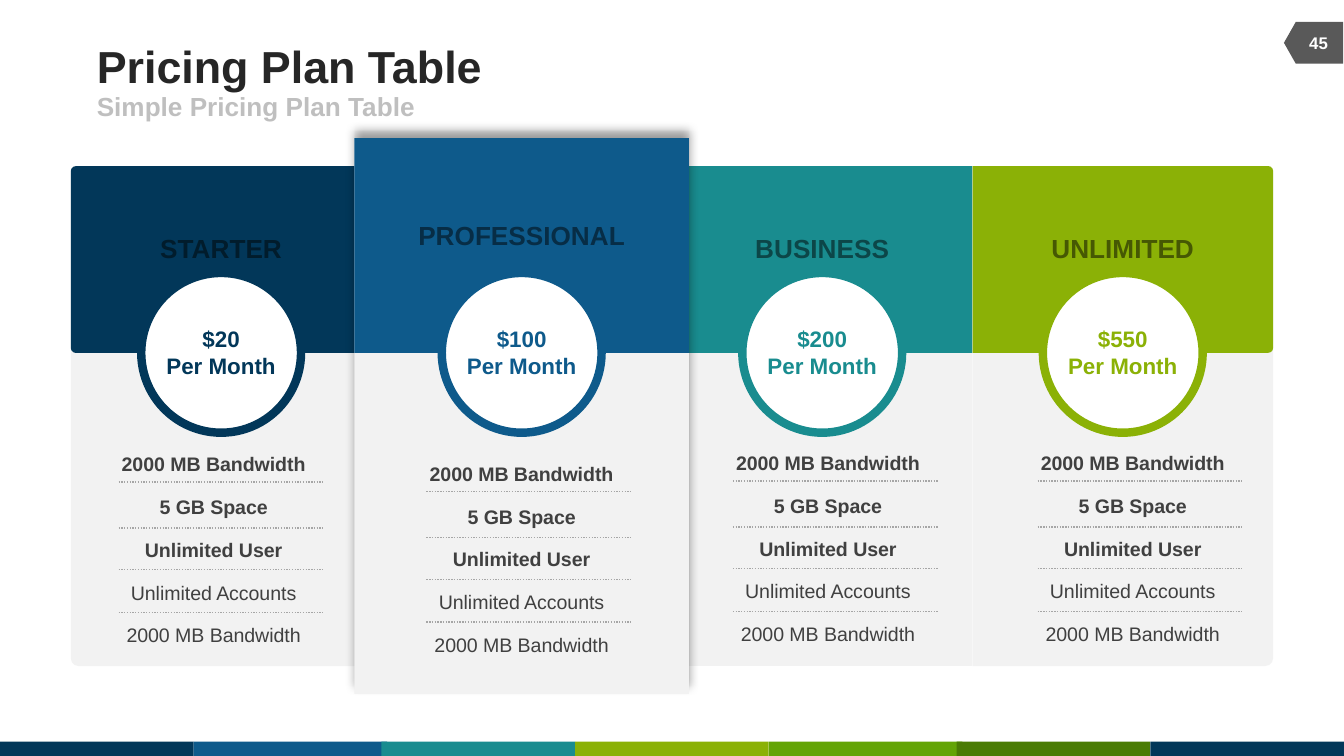
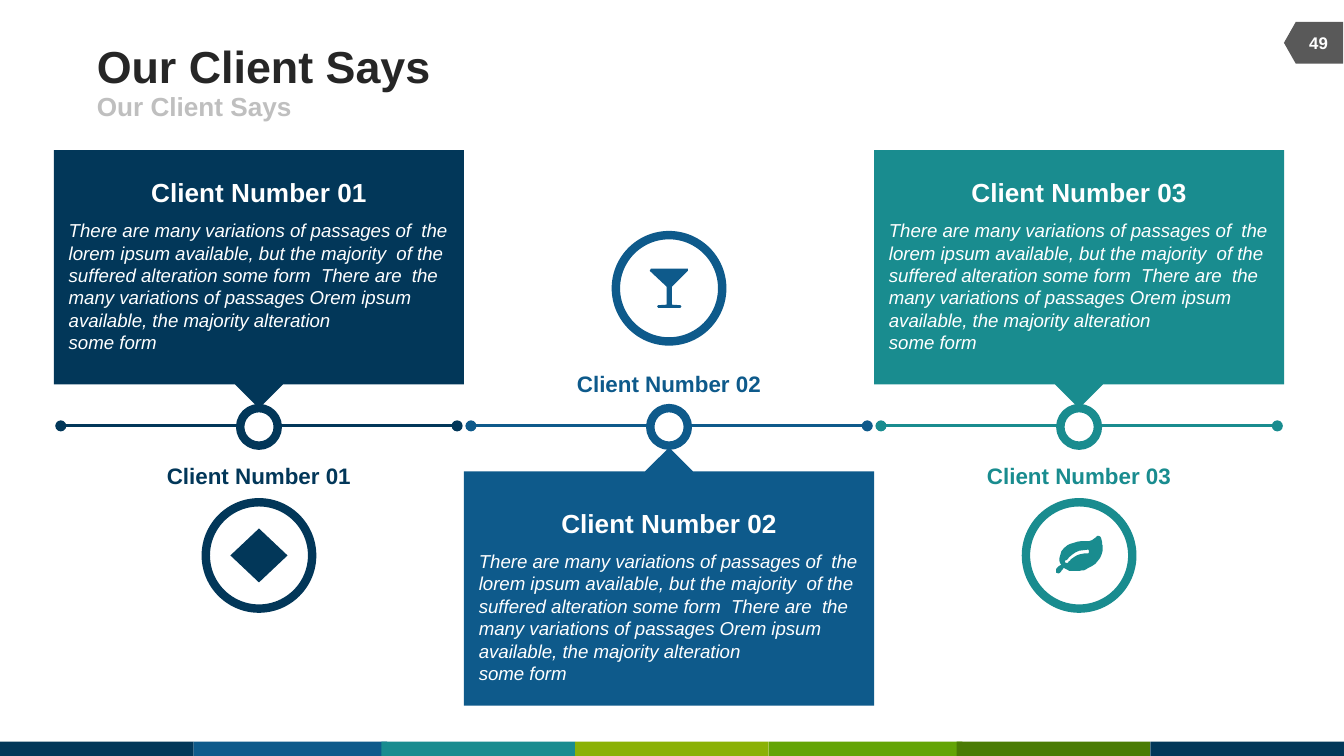
from lxml import etree
from pptx import Presentation
from pptx.dml.color import RGBColor
from pptx.enum.dml import MSO_LINE
from pptx.enum.shapes import MSO_CONNECTOR, MSO_SHAPE as SHAPE
from pptx.enum.text import MSO_ANCHOR as ANCHOR, MSO_AUTO_SIZE, PP_ALIGN as ALIGN
from pptx.oxml.ns import qn
from pptx.util import Cm, Pt

FONT = "Arial"
NAVY = RGBColor(0x02, 0x37, 0x59)
BLUE = RGBColor(0x0E, 0x5A, 0x8B)
TEAL = RGBColor(0x19, 0x8C, 0x8F)
LIME = RGBColor(0x8B, 0xB1, 0x06)
GREEN = RGBColor(0x63, 0xA4, 0x06)
FOREST = RGBColor(0x4A, 0x7B, 0x04)
DARK_NAVY = RGBColor(0x01, 0x1C, 0x2C)
DARK_BLUE = RGBColor(0x07, 0x2D, 0x46)
DARK_TEAL = RGBColor(0x0C, 0x46, 0x48)
DARK_LIME = RGBColor(0x46, 0x58, 0x03)
WHITE = RGBColor(0xFF, 0xFF, 0xFF)
PANEL = RGBColor(0xF2, 0xF2, 0xF2)
SUBTITLE = RGBColor(0xBF, 0xBF, 0xBF)
RULE = RGBColor(0xA6, 0xA6, 0xA6)
BADGE = RGBColor(0x59, 0x59, 0x59)
BODY = RGBColor(0x40, 0x40, 0x40)
TITLE = RGBColor(0x26, 0x26, 0x26)

BAND = [(0, NAVY), (3.66, BLUE), (7.21, TEAL), (10.87, LIME),
        (14.53, GREEN), (18.08, FOREST), (21.74, NAVY)]

# Plan: name, price, colour, name colour, left and top of the feature list
PLANS = [
    ("STARTER", "$20", NAVY, DARK_NAVY, 1.83, 8.2),
    ("PROFESSIONAL", "$100", BLUE, DARK_BLUE, 7.65, 8.38),
    ("BUSINESS", "$200", TEAL, DARK_TEAL, 13.44, 8.18),
    ("UNLIMITED", "$550", LIME, DARK_LIME, 19.2, 8.18),
]
FEATURES = [("2000 MB Bandwidth", True), ("5 GB Space", True),
            ("Unlimited User", True), ("Unlimited Accounts", False),
            ("2000 MB Bandwidth", False)]
RULE_OFFSETS = [0.91, 1.78, 2.57, 3.38]
PLAN_LEFT, PLAN_WIDTH = 1.34, 5.68
PLAN_TOP, HEADER_BOTTOM, PLAN_BOTTOM = 3.14, 6.67, 12.59
RAISED = 0.53
CIRCLE = 3.02

QUOTE = ("There are many variations of passages of  the lorem ipsum available, "
         "but the majority  of the suffered alteration some form  There are  the "
         "many variations of passages Orem ipsum available, the majority alteration ",
         "some form")
CLIENT_LEFT, CLIENT_WIDTH, CALLOUT_HEIGHT = 1.02, 7.75, 4.88
TIMELINE = 8.05
DOT, RING = 0.71, 2.01

# Icon outlines in hundredths of a centimetre from the icon centre
GLASS = [(-35, -37), (35, -37), (36, -33), (5, -3), (5, 31), (21, 32),
         (23, 34), (21, 37), (-21, 37), (-23, 34), (-21, 32), (-5, 31),
         (-5, -3), (-36, -33)]
# Start point, then two control points and an end point for each curve
LEAF = [
    (44, -9), (42, 6), (32, 17), (17, 24), (9, 29), (1, 29), (-6, 29),
    (-9, 29), (-16, 29), (-19, 29), (-22, 27), (-27, 24), (-29, 24),
    (-32, 24), (-34, 34), (-39, 34), (-42, 34), (-44, 32), (-44, 29),
    (-44, 22), (-34, 19), (-34, 17), (-34, 17), (-37, 14), (-37, 11),
    (-37, 9), (-37, 9), (-37, 6), (-37, -9), (-24, -22), (-9, -24),
    (1, -29), (22, -24), (29, -32), (32, -34), (32, -37), (37, -37),
    (42, -37), (44, -22), (44, -19), (44, -14), (44, -11), (44, -9)]
LEAF_VEIN = [
    (17, -11), (-1, -11), (-14, -4), (-24, 9), (-24, 9), (-27, 9), (-27, 11),
    (-27, 14), (-24, 14), (-22, 14), (-19, 11), (-17, 9), (-14, 6),
    (-4, -1), (4, -4), (17, -4), (17, -4), (19, -6), (19, -9),
    (19, -9), (17, -11), (17, -11)]


def style_shape(shape, fill=None, line=None, weight=4.5):
    shape.shadow.inherit = False
    if fill is None:
        shape.fill.background()
    else:
        shape.fill.solid()
        shape.fill.fore_color.rgb = fill
    if line is None:
        shape.line.fill.background()
    else:
        shape.line.color.rgb = line
        shape.line.width = Pt(weight)
    return shape


def add_shape(page, kind, left, top, width, height, fill=None, line=None):
    shape = page.shapes.add_shape(kind, Cm(left), Cm(top), Cm(width), Cm(height))
    return style_shape(shape, fill, line)


def add_circle(page, center, middle, size, line, fill=None):
    return add_shape(page, SHAPE.OVAL, center - size / 2, middle - size / 2,
                     size, size, fill, line)


def add_line(page, start, end, y, color, weight):
    line = page.shapes.add_connector(MSO_CONNECTOR.STRAIGHT,
                                     Cm(start), Cm(y), Cm(end), Cm(y))
    line.line.color.rgb = color
    line.line.width = Pt(weight)
    etree.SubElement(line.element.spPr, qn("a:effectLst"))
    return line


def set_frame(box, anchor=ANCHOR.TOP, insets=(0, 0, 0, 0)):
    frame = box.text_frame
    frame.word_wrap = True
    frame.auto_size = MSO_AUTO_SIZE.NONE
    frame.vertical_anchor = anchor
    (frame.margin_left, frame.margin_top,
     frame.margin_right, frame.margin_bottom) = map(Cm, insets)
    return frame


def add_span(para, text, size, color, bold=True, italic=False):
    span = para.add_run()
    span.text = text
    span.font.name = FONT
    span.font.size = Pt(size)
    span.font.color.rgb = color
    span.font.bold = bold
    span.font.italic = italic


def add_text(page, left, top, width, height, lines, size, color,
             align=ALIGN.CENTER, anchor=ANCHOR.TOP, insets=(0, 0, 0, 0),
             bold=True, italic=False):
    """Add one paragraph whose lines are parted by line breaks."""
    box = page.shapes.add_textbox(Cm(left), Cm(top), Cm(width), Cm(height))
    para = set_frame(box, anchor, insets).paragraphs[0]
    para.alignment = align
    for index, line in enumerate(lines):
        if index:
            para.add_line_break()
        add_span(para, line, size, color, bold, italic)


def add_page(deck, title, subtitle, number):
    page = deck.slides.add_slide(deck.slide_layouts[5])
    box = page.shapes.title
    box.left, box.top, box.width, box.height = Cm(1.83), Cm(0.74), Cm(15.67), Cm(0.99)
    para = set_frame(box, ANCHOR.MIDDLE).paragraphs[0]
    para.alignment = ALIGN.LEFT
    add_span(para, title, 24, TITLE)
    add_text(page, 1.83, 1.73, 11.43, 0.56, [subtitle], 14, SUBTITLE,
             ALIGN.LEFT, ANCHOR.MIDDLE)
    add_text(page, 24.44, 0.43, 0.96, 0.76, [number], 9, WHITE,
             anchor=ANCHOR.MIDDLE)
    return page


def decorate_layout(page):
    """Draw the bottom band and number badge, then move them to the layout."""
    parts = [add_shape(page, SHAPE.RECTANGLE, left, 14.02, 3.66, 0.27, color)
             for left, color in BAND]
    badge = add_shape(page, SHAPE.FLOWCHART_OFFPAGE_CONNECTOR,
                      24.43, 0.25, 0.79, 1.12, BADGE)
    badge.rotation = 90
    for part in parts + [badge]:
        page.slide_layout.shapes.element.append(part.element)


def add_panel(page, left, top, width, bottom, color, turn):
    """Add a panel; a turn of 270 or 90 rounds its left or right corners."""
    height = bottom - top
    if not turn:
        return add_shape(page, SHAPE.RECTANGLE, left, top, width, height, color)
    panel = add_shape(page, SHAPE.ROUND_2_SAME_RECTANGLE,
                      left + (width - height) / 2, top + (height - width) / 2,
                      height, width, color)
    panel.adjustments[0] = 0.026
    panel.adjustments[1] = 0
    panel.rotation = turn
    return panel


def add_glow_shadow(shape):
    effects = shape.element.spPr.find(qn("a:effectLst"))
    shadow = etree.SubElement(effects, qn("a:outerShdw"), blurRad=str(Pt(5)),
                              dist=str(Pt(4)), dir="16200000", rotWithShape="0")
    color = etree.SubElement(shadow, qn("a:srgbClr"), val="000000")
    etree.SubElement(color, qn("a:alpha"), val="40000")


def add_plan_panels(page, index, turn=0, raised=False):
    rise, spread = (RAISED, 0.32) if raised else (0, 0)
    left = PLAN_LEFT + index * PLAN_WIDTH - spread
    width = PLAN_WIDTH + 2 * spread
    body = add_panel(page, left, PLAN_TOP - rise, width, PLAN_BOTTOM + rise, PANEL, turn)
    if raised:
        add_glow_shadow(body)
    add_panel(page, left, PLAN_TOP - rise, width, HEADER_BOTTOM, PLANS[index][2], turn)


def add_features(page, left, top):
    box = page.shapes.add_textbox(Cm(left), Cm(top), Cm(4.42), Cm(4.19))
    frame = set_frame(box, insets=(0.25, 0.13, 0.25, 0.13))
    for index, (feature, bold) in enumerate(FEATURES):
        para = frame.add_paragraph() if index else frame.paragraphs[0]
        para.alignment = ALIGN.CENTER
        para.line_spacing = 1.5
        if index:
            para.space_before = Pt(4)
        add_span(para, feature, 10.5, BODY, bold)
    for offset in RULE_OFFSETS:
        rule = add_line(page, left + 0.41, left + 4.28, top + offset, RULE, 0.75)
        rule.line.dash_style = MSO_LINE.ROUND_DOT


def build_pricing(page):
    add_plan_panels(page, 0, turn=270)
    add_plan_panels(page, 2)
    add_plan_panels(page, 3, turn=90)
    add_plan_panels(page, 1, raised=True)
    for index, (name, price, color, name_color, left, top) in enumerate(PLANS):
        center = PLAN_LEFT + (index + 0.5) * PLAN_WIDTH
        add_circle(page, center, HEADER_BOTTOM, CIRCLE, color, WHITE)
        name_top = 4.14 if index == 1 else 4.39
        add_text(page, center - 2.5, name_top, 5, 0.61, [name], 14, name_color)
        add_text(page, center - CIRCLE / 2, 6.15, CIRCLE, 1.02,
                 [price, "Per Month"], 12, color)
        add_features(page, left, top)


def trace_curves(points, steps=6):
    """Turn a chain of cubic curves into outline points."""
    outline = [points[0]]
    for first in range(0, len(points) - 1, 3):
        a, b, c, d = points[first:first + 4]
        for step in range(1, steps + 1):
            t = step / steps
            u = 1 - t
            outline.append(tuple(
                u ** 3 * p + 3 * u * u * t * q + 3 * u * t * t * r + t ** 3 * s
                for p, q, r, s in zip(a, b, c, d)))
    return outline


def add_icon(page, center, middle, color, outlines):
    moved = [[(x + center * 100, y + middle * 100) for x, y in outline]
             for outline in outlines]
    builder = page.shapes.build_freeform(*moved[0][0], scale=Cm(0.01))
    builder.add_line_segments(moved[0][1:])
    for outline in moved[1:]:
        builder.move_to(*outline[0])
        builder.add_line_segments(outline[1:])
    style_shape(builder.convert_to_shape(), color)


def add_timeline(page, left, color):
    line = add_line(page, left + CLIENT_WIDTH - 0.13, left + 0.13, TIMELINE, color, 1.5)
    outline = line.line._get_or_add_ln()
    for end in ("a:headEnd", "a:tailEnd"):
        etree.SubElement(outline, qn(end), type="oval")


def add_client(page, index, color, below=False):
    """Add a client's callout, above the timeline or below it, with its label."""
    left = CLIENT_LEFT + index * CLIENT_WIDTH
    center = left + CLIENT_WIDTH / 2
    name = f"Client Number 0{index + 1}"
    callout_top, heading_top, quote_top, label_top, ring_middle = (
        (8.46, 9.6, 10.39, 6.99, 5.45) if below else (2.84, 3.33, 4.14, 8.74, 10.5))
    add_timeline(page, left, color)
    add_text(page, center - 2.5, label_top, 5, 0.51, [name], 12, color)
    callout = add_shape(page, SHAPE.DOWN_ARROW_CALLOUT, left, callout_top,
                        CLIENT_WIDTH, CALLOUT_HEIGHT, color)
    for spot, value in enumerate((0.258, 0.093, 0.093, 0.907)):
        callout.adjustments[spot] = value
    if below:
        callout.element.spPr.xfrm.set("flipV", "1")
    add_text(page, left + 0.28, quote_top, 7.42, 2.69, QUOTE, 10, WHITE,
             ALIGN.LEFT, insets=(0, 0, 0.25, 0.13), bold=False, italic=True)
    add_text(page, center - 2.5, heading_top, 5, 0.61, [name], 14, WHITE)
    add_circle(page, center, TIMELINE + 0.02, DOT, color, WHITE)
    add_circle(page, center, ring_middle, RING, color)
    return center, ring_middle


def build_clients(page):
    center, middle = add_client(page, 0, NAVY)
    add_shape(page, SHAPE.DIAMOND, center - 0.54, middle - 0.51, 1.08, 1.02, NAVY)
    center, middle = add_client(page, 1, BLUE, below=True)
    add_icon(page, center, middle, BLUE, [GLASS])
    center, middle = add_client(page, 2, TEAL)
    add_icon(page, center, middle, TEAL, [trace_curves(LEAF), trace_curves(LEAF_VEIN)])


def main():
    deck = Presentation()
    deck.slide_width, deck.slide_height = Cm(25.4), Cm(14.29)
    pricing = add_page(deck, "Pricing Plan Table", "Simple Pricing Plan Table", "45")
    decorate_layout(pricing)
    build_pricing(pricing)
    build_clients(add_page(deck, "Our Client Says", "Our Client Says", "49"))
    deck.save("out.pptx")


if __name__ == "__main__":
    main()
